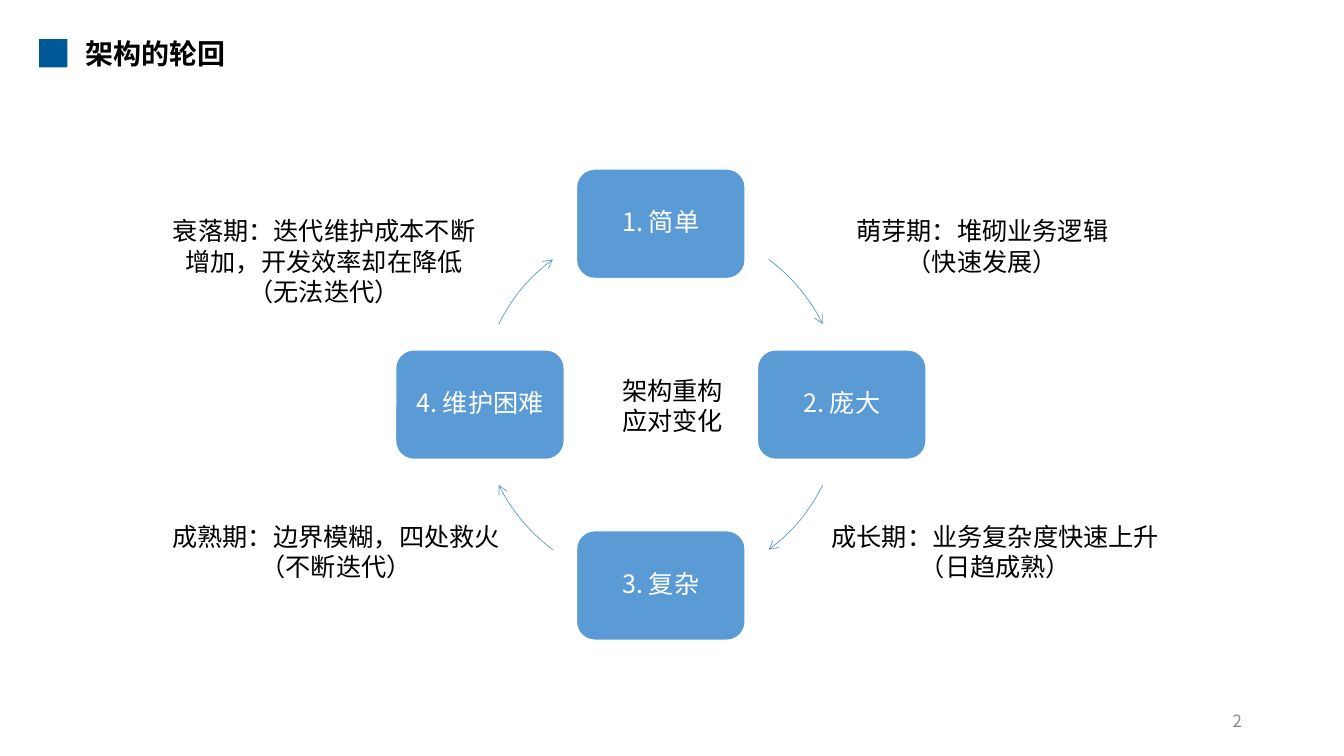
import math
from dataclasses import dataclass

from pptx import Presentation, util as u
from pptx.dml.color import RGBColor
from pptx.enum import shapes, text
from pptx.oxml import ns, xmlchemy as xc

NAVY = RGBColor(0x00, 0x58, 0x98)
SKY = RGBColor(0x5B, 0x9B, 0xD5)
WHITE = RGBColor(0xFF, 0xFF, 0xFF)
BLACK = RGBColor(0x00, 0x00, 0x00)
GREY = RGBColor(0x89, 0x89, 0x89)
NOTO = "Noto Sans CJK SC"
CALIBRI = "Calibri"

CENTER_X, CENTER_Y, RADIUS = 472, 289, 129.2
STAGE_W, STAGE_H = 120.5, 78.2
ARROW_START, ARROW_SWEEP = 26.4, 27


@dataclass(frozen=True)
class Style:
    size: float = 18
    font: str = CALIBRI
    color: RGBColor = BLACK
    bold: bool = False
    align: text.PP_ALIGN = text.PP_ALIGN.CENTER
    anchor: text.MSO_ANCHOR = text.MSO_ANCHOR.TOP


@dataclass(frozen=True)
class Caption:
    left: float
    top: float
    width: float
    height: float
    lines: tuple[str, ...]
    style: Style = Style()


@dataclass(frozen=True)
class Stage:
    label: str
    angle: float
    arrow_start: float


TITLE = Style(20, NOTO, BLACK, True, text.PP_ALIGN.LEFT, text.MSO_ANCHOR.MIDDLE)
NUMBER = Style(12, NOTO, GREY, False, text.PP_ALIGN.RIGHT, text.MSO_ANCHOR.MIDDLE)
STAGE = Style(18, NOTO, WHITE, anchor=text.MSO_ANCHOR.MIDDLE)

STAGES = (
    Stage("1. 简单", 270, 360 - ARROW_START - ARROW_SWEEP),
    Stage("2. 庞大", 0, ARROW_START),
    Stage("3. 复杂", 90, 180 - ARROW_START - ARROW_SWEEP),
    Stage("4. 维护困难", 180, 180 + ARROW_START),
)

CAPTIONS = (
    Caption(54, 22.3, 447, 31.7, ("架构的轮回",), TITLE),
    Caption(678.2, 500.4, 216, 28.8, ("2",), NUMBER),
    Caption(586.8, 150.5, 229.7, 51, ("萌芽期：堆砌业务逻辑", "（快速发展）")),
    Caption(586.8, 368.6, 248.4, 51, ("成长期：业务复杂度快速上升", "（日趋成熟）")),
    Caption(113, 368.6, 254.2, 51, ("成熟期：边界模糊，四处救火", "（不断迭代）")),
    Caption(391, 264.2, 178.6, 51, ("架构重构", "应对变化")),
    Caption(113, 150.5, 236.9, 73, (
        "衰落期：迭代维护成本不断增加，开发效率却在降低", "（无法迭代）")),
)


def write(frame, lines: tuple[str, ...], style: Style) -> None:
    frame.word_wrap = True
    frame.vertical_anchor = style.anchor
    for index, line in enumerate(lines):
        paragraph = frame.add_paragraph() if index else frame.paragraphs[0]
        paragraph.alignment = style.align
        run = paragraph.add_run()
        run.text = line
        font = run.font
        font.size, font.name, font.bold = u.Pt(style.size), style.font, style.bold
        font.color.rgb = style.color
        east_asian = xc.OxmlElement("a:ea")
        east_asian.set("typeface", style.font)
        run.font._element.find(ns.qn("a:latin")).addnext(east_asian)


def add_plain_shape(slide, kind: shapes.MSO_SHAPE, left: float, top: float,
                    width: float, height: float):
    shape = slide.shapes.add_shape(
        kind, u.Pt(left), u.Pt(top), u.Pt(width), u.Pt(height))
    shape.shadow.inherit = False
    return shape


def add_title_marker(slide) -> None:
    marker = add_plain_shape(slide, shapes.MSO_SHAPE.RECTANGLE, 28, 28, 20.2, 20.2)
    marker.fill.solid()
    marker.fill.fore_color.rgb = NAVY
    marker.line.fill.background()


def add_stage(slide, stage: Stage) -> None:
    angle = math.radians(stage.angle)
    left = CENTER_X + RADIUS * math.cos(angle) - STAGE_W / 2
    top = CENTER_Y + RADIUS * math.sin(angle) - STAGE_H / 2
    box = add_plain_shape(
        slide, shapes.MSO_SHAPE.ROUNDED_RECTANGLE, left, top, STAGE_W, STAGE_H)
    box.fill.solid()
    box.fill.fore_color.rgb = SKY
    box.line.color.rgb = WHITE
    box.line.width = u.Pt(1)
    frame = box.text_frame
    frame.margin_left = frame.margin_right = u.Pt(5)
    frame.margin_top = frame.margin_bottom = u.Pt(5)
    write(frame, (stage.label,), STAGE)
    frame.paragraphs[0].line_spacing = 0.9


def add_arrow(slide, stage: Stage) -> None:
    arrow = add_plain_shape(
        slide, shapes.MSO_SHAPE.ARC, CENTER_X - RADIUS, CENTER_Y - RADIUS,
        2 * RADIUS, 2 * RADIUS)
    arrow.adjustments[0] = stage.arrow_start * 0.6
    arrow.adjustments[1] = (stage.arrow_start + ARROW_SWEEP) * 0.6
    arrow.fill.background()
    arrow.line.color.rgb = SKY
    arrow.line.width = u.Pt(0.5)
    head = xc.OxmlElement("a:tailEnd")
    head.set("type", "arrow")
    arrow.element.spPr.find(ns.qn("a:ln")).append(head)


def add_caption(slide, caption: Caption) -> None:
    box = slide.shapes.add_textbox(
        u.Pt(caption.left), u.Pt(caption.top),
        u.Pt(caption.width), u.Pt(caption.height))
    write(box.text_frame, caption.lines, caption.style)


def main() -> None:
    deck = Presentation()
    deck.slide_width, deck.slide_height = u.Pt(960), u.Pt(540)
    slide = deck.slides.add_slide(deck.slide_layouts[6])
    add_title_marker(slide)
    for stage in STAGES:
        add_stage(slide, stage)
        add_arrow(slide, stage)
    for caption in CAPTIONS:
        add_caption(slide, caption)
    deck.save("out.pptx")


if __name__ == "__main__":
    main()
